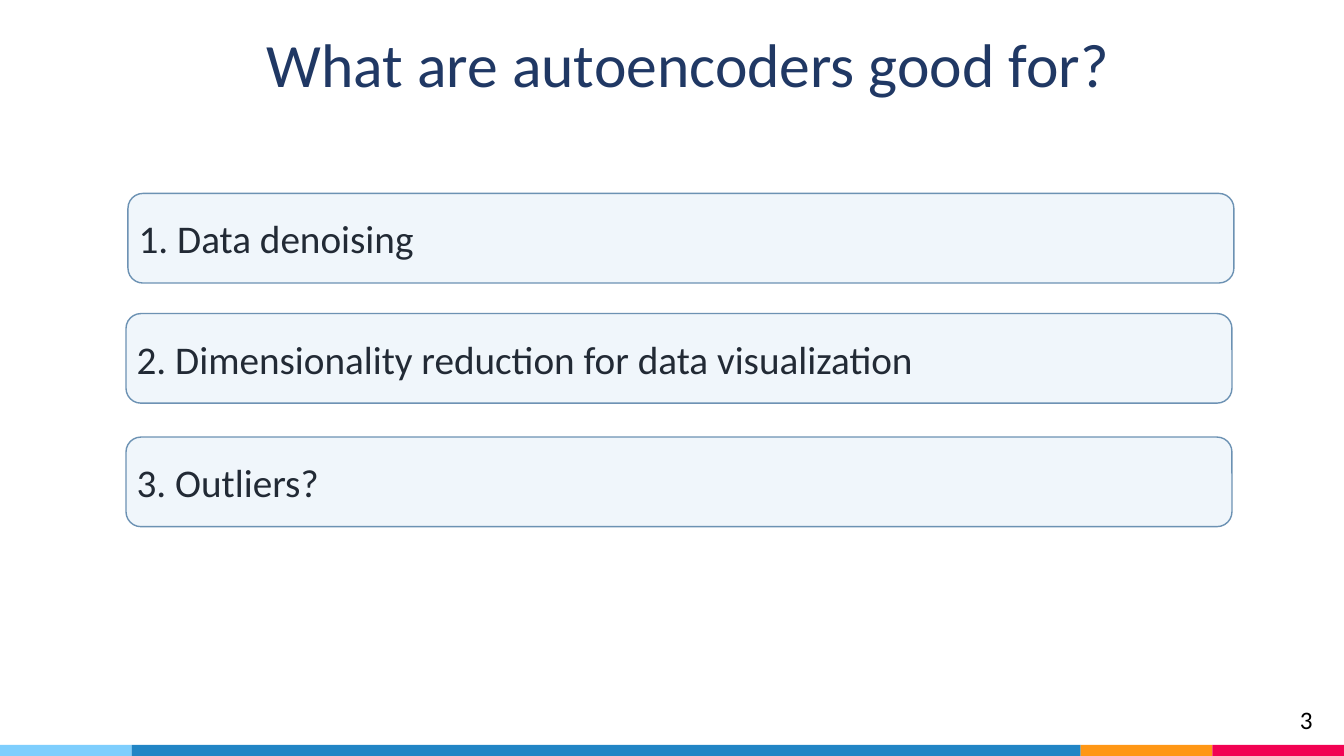
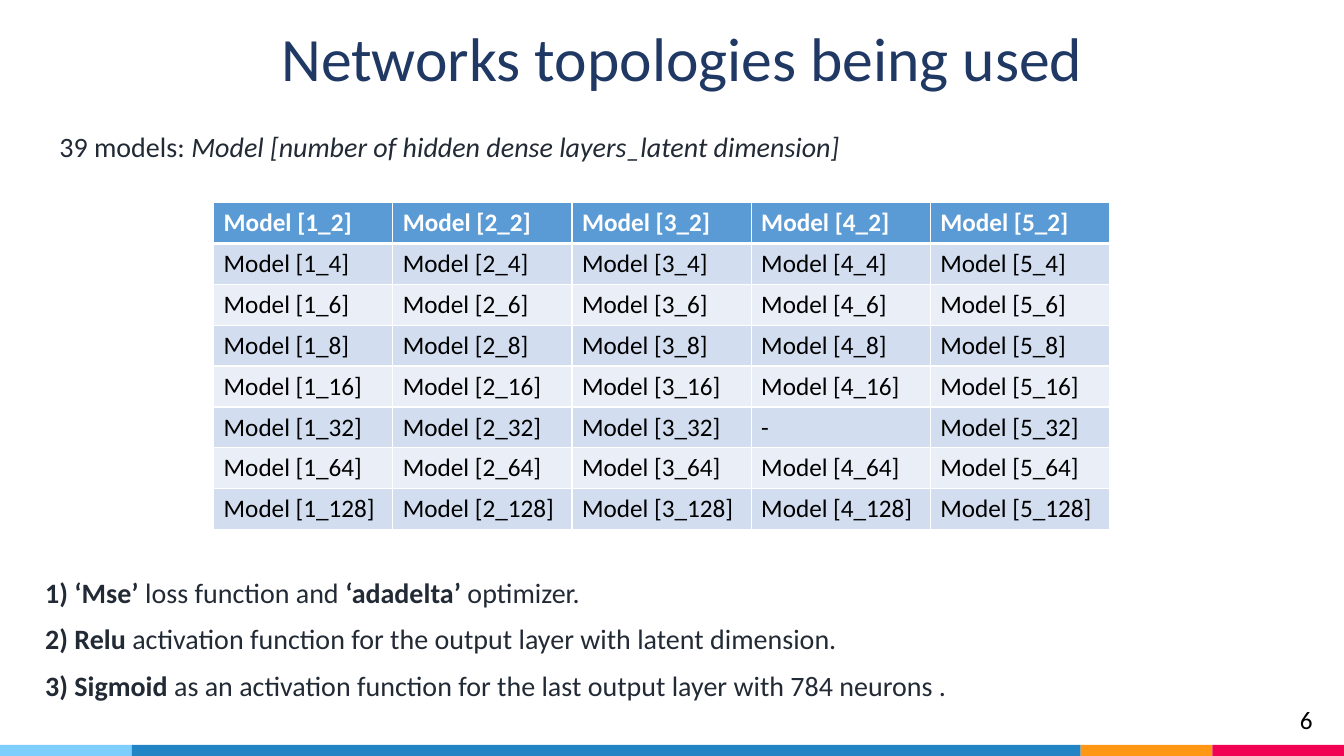
from dataclasses import dataclass
from itertools import accumulate

from lxml.etree import SubElement
from pptx import Presentation
from pptx.dml.color import RGBColor
from pptx.enum.shapes import MSO_SHAPE as Shape
from pptx.enum.text import MSO_ANCHOR as Anchor, PP_ALIGN as Align
from pptx.oxml.ns import qn
from pptx.util import Pt


@dataclass(frozen=True)
class Theme:
    font: str = "Calibri"
    title_size: float = 44
    card_size: float = 28
    body_size: float = 20
    small_size: float = 18
    title: str = "203864"
    text: str = "222A35"
    black: str = "000000"
    white: str = "FFFFFF"
    card_fill: str = "BDD7EE"
    card_line: str = "43739E"
    header: str = "5B9BD5"
    stripes: tuple = ("D2DEEF", "EAEFF7")
    bands: tuple = (("7ECEFD", 94), ("2185C5", 678), ("FF9715", 94), ("F20253", 94))


THEME = Theme()
WIDTH, HEIGHT = 960, 540
BAND_HEIGHT = 8


def write_text(paragraph, text, *, size=THEME.body_size, color=THEME.text,
               bold=False, italic=False, align=None):
    run = paragraph.add_run()
    run.text = text
    font = run.font
    font.name, font.size, font.bold, font.italic = THEME.font, Pt(size), bold, italic
    font.color.rgb = RGBColor.from_string(color)
    if align is not None:
        paragraph.alignment = align


def add_text_box(slide, left, top, width, height):
    frame = slide.shapes.add_textbox(Pt(left), Pt(top), Pt(width), Pt(height)).text_frame
    frame.word_wrap = True
    return frame


def add_filled_shape(slide, kind, left, top, width, height, color):
    shape = slide.shapes.add_shape(kind, Pt(left), Pt(top), Pt(width), Pt(height))
    shape.shadow.inherit = False
    shape.fill.solid()
    shape.fill.fore_color.rgb = RGBColor.from_string(color)
    shape.line.fill.background()
    return shape


def add_title(slide, text, left, top):
    frame = add_text_box(slide, left, top, 825, 60)
    write_text(frame.paragraphs[0], text, size=THEME.title_size, color=THEME.title,
               align=Align.CENTER)


def add_footer(slide, number):
    ends = accumulate(width for _, width in THEME.bands)
    for (color, width), end in zip(THEME.bands, ends):
        add_filled_shape(slide, Shape.RECTANGLE, end - width, HEIGHT - BAND_HEIGHT,
                         width, BAND_HEIGHT, color)
    frame = add_text_box(slide, 921.5, 499.7, 24, 29)
    write_text(frame.paragraphs[0], str(number), size=THEME.small_size, color=THEME.black)


def add_card(slide, text, left, top):
    card = add_filled_shape(slide, Shape.ROUNDED_RECTANGLE, left, top, 790, 64,
                            THEME.card_fill)
    card.line.color.rgb = RGBColor.from_string(THEME.card_line)
    card.line.width = Pt(1)
    for color, opacity in zip(card.element.spPr.iter(qn("a:srgbClr")), (22, 77)):
        SubElement(color, qn("a:alpha"), val=str(opacity * 1000))
    frame = card.text_frame
    frame.word_wrap = True
    frame.margin_left = Pt(4.5)
    frame.vertical_anchor = Anchor.MIDDLE
    write_text(frame.paragraphs[0], text, size=THEME.card_size, align=Align.LEFT)


def set_borders(cell, **widths):
    properties = cell._tc.get_or_add_tcPr()
    for side in "LRTB":
        line = SubElement(properties, qn(f"a:ln{side}"), w=str(Pt(widths.get(side, 1))))
        fill = SubElement(line, qn("a:solidFill"))
        SubElement(fill, qn("a:srgbClr"), val=THEME.white)


def add_model_table(slide, layers, dimensions, missing):
    column_width, row_height = 128, 29.2
    table = slide.shapes.add_table(
        len(dimensions), len(layers), Pt(152.6), Pt(144.7),
        Pt(column_width * len(layers)), Pt(row_height * len(dimensions))).table
    for column in table.columns:
        column.width = Pt(column_width)
    for row_index, dimension in enumerate(dimensions):
        table.rows[row_index].height = Pt(row_height)
        is_header = row_index == 0
        fill = THEME.header if is_header else THEME.stripes[(row_index - 1) % 2]
        borders = {0: {"B": 3}, 1: {"T": 3}}.get(row_index, {})
        for column_index, layer in enumerate(layers):
            cell = table.cell(row_index, column_index)
            set_borders(cell, **borders)
            cell.fill.solid()
            cell.fill.fore_color.rgb = RGBColor.from_string(fill)
            text = "-" if (layer, dimension) in missing else f"Model [{layer}_{dimension}]"
            write_text(cell.text_frame.paragraphs[0], text, size=THEME.small_size,
                       color=THEME.white if is_header else THEME.black, bold=is_header)


def add_notes_list(slide, items):
    frame = add_text_box(slide, 25.2, 407.5, 900, 99)
    for index, runs in enumerate(items):
        paragraph = frame.add_paragraph() if index else frame.paragraphs[0]
        paragraph.space_after = Pt(9.2)
        for text, bold in runs:
            write_text(paragraph, text, bold=bold)


def add_slide(presentation, title, left, top, number):
    slide = presentation.slides.add_slide(presentation.slide_layouts[6])
    add_footer(slide, number)
    add_title(slide, title, left, top)
    return slide


def build_uses(presentation):
    slide = add_slide(presentation, "What are autoencoders good for?", 79.2, 15, 3)
    for text, left, top in (
        ("1. Data denoising", 91.4, 138.2),
        ("2. Dimensionality reduction for data visualization", 90, 224),
        ("3. Outliers?", 90, 312.2),
    ):
        add_card(slide, text, left, top)


def build_topologies(presentation):
    slide = add_slide(presentation, "Networks topologies being used", 74.9, 11, 6)
    intro = add_text_box(slide, 35.3, 89.3, 650, 32).paragraphs[0]
    write_text(intro, "39 models: ")
    write_text(intro, "Model [number of hidden dense layers_latent dimension]", italic=True)
    add_model_table(slide, range(1, 6), (2, 4, 6, 8, 16, 32, 64, 128), {(4, 32)})
    add_notes_list(slide, (
        (("1) ‘Mse’ ", True), ("loss function and ", False),
         ("‘adadelta’ ", True), ("optimizer.", False)),
        (("2) Relu ", True),
         ("activation function for the output layer with latent dimension.", False)),
        (("3) Sigmoid ", True),
         ("as an activation function for the last output layer with 784 neurons .", False)),
    ))


def main():
    presentation = Presentation()
    presentation.slide_width, presentation.slide_height = Pt(WIDTH), Pt(HEIGHT)
    build_uses(presentation)
    build_topologies(presentation)
    presentation.save("out.pptx")


if __name__ == "__main__":
    main()
